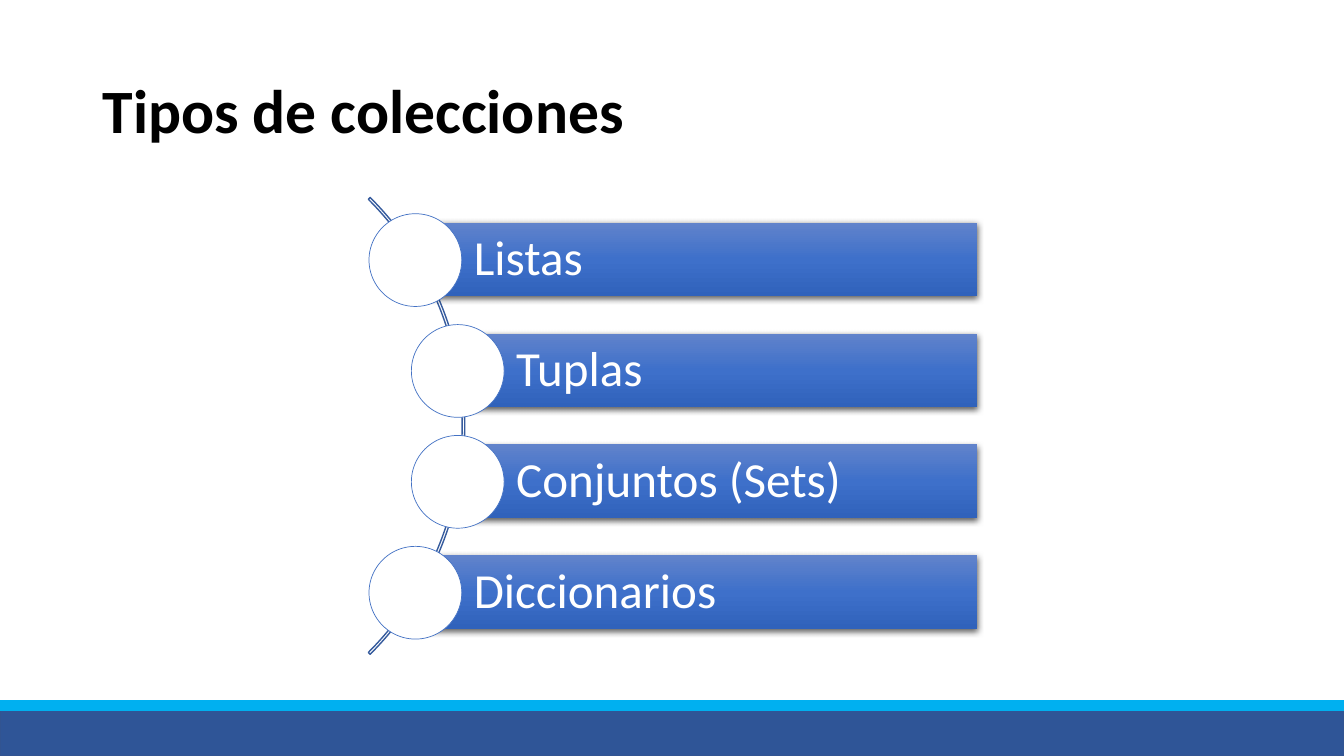
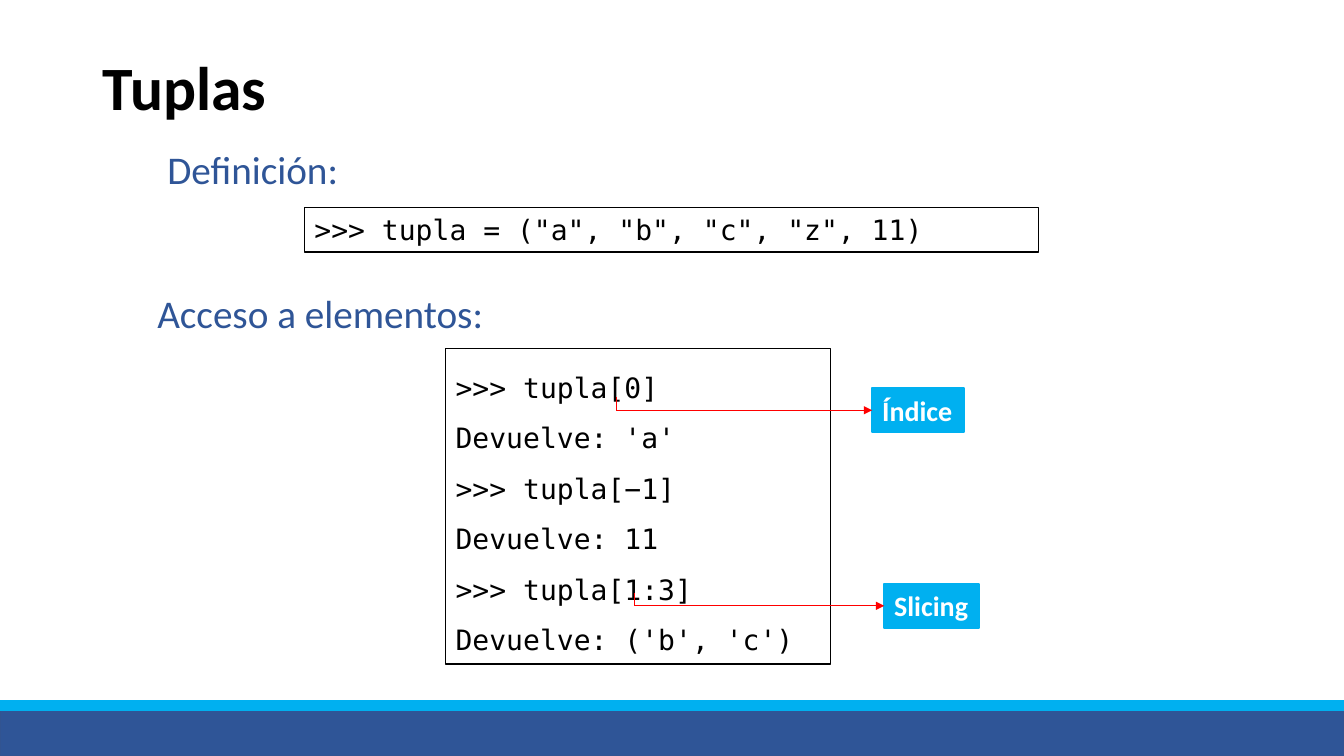
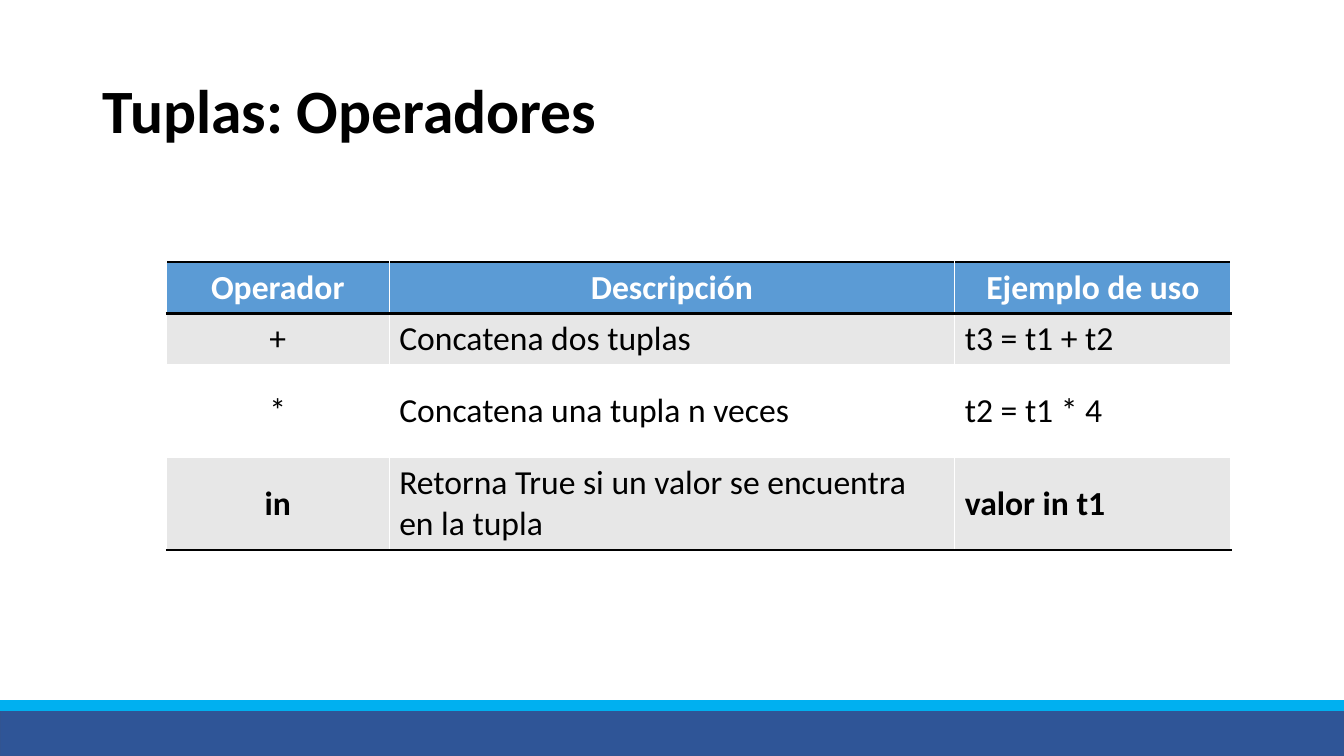
from copy import deepcopy
from lxml.etree import SubElement
from pptx import Presentation
from pptx.dml.color import RGBColor
from pptx.enum.shapes import MSO_CONNECTOR, MSO_SHAPE
from pptx.enum.text import MSO_ANCHOR, MSO_AUTO_SIZE, PP_ALIGN
from pptx.oxml.ns import qn
from pptx.util import Inches, Pt

NAVY, SKY, BLACK, WHITE, RED = "2F5597", "00B0F0", "000000", "FFFFFF", "FF0000"
TITLE = {"name": "Calibri", "size": Pt(44), "bold": True}
HEADING = {"name": "Calibri", "size": Pt(28)}
ENTRY = {"name": "Calibri", "size": Pt(35)}
CODE = {"name": "DejaVu Sans Mono", "size": Pt(20)}
LABEL = {"name": "Calibri", "size": Pt(20), "bold": True}
CELL = {"name": "Calibri", "size": Pt(24)}
MIDDLE = {"vertical_anchor": MSO_ANCHOR.MIDDLE}
GROW = {"auto_size": MSO_AUTO_SIZE.SHAPE_TO_FIT_TEXT}


def rgb(value):
    return RGBColor.from_string(value)


def add_box(slide, at, kind=None, fill=None, line=None, width=1, lines=(),
            font=None, color=BLACK, spacing=1.0, frame_format=None):
    area = [Inches(length) for length in at]
    if kind is None:
        box = slide.shapes.add_textbox(*area)
    else:
        box = slide.shapes.add_shape(kind, *area)
        box.shadow.inherit = False
        if fill:
            box.fill.solid()
            box.fill.fore_color.rgb = rgb(fill)
        else:
            box.fill.background()
        if line:
            box.line.color.rgb = rgb(line)
            box.line.width = Pt(width)
        else:
            box.line.fill.background()
    frame = box.text_frame
    frame.word_wrap = True
    for key, value in (frame_format or {}).items():
        setattr(frame, key, value)
    for number, text in enumerate(lines):
        paragraph = frame.add_paragraph() if number else frame.paragraphs[0]
        paragraph.alignment = PP_ALIGN.LEFT
        paragraph.line_spacing = spacing
        run = paragraph.add_run()
        run.text = text
        run.font.color.rgb = rgb(color)
        for key, value in font.items():
            setattr(run.font, key, value)
    return box


deck = Presentation()
deck.slide_width, deck.slide_height = Inches(13.33), Inches(7.5)
slides = []
for title, top in [("Tipos de colecciones", 0.4), ("Tuplas", 0.17), ("Tuplas: Operadores", 0.4)]:
    slide = deck.slides.add_slide(deck.slide_layouts[6])
    add_box(slide, (0, 7.03, 13.33, 0.47), MSO_SHAPE.RECTANGLE, NAVY, "325491")
    add_box(slide, (0, 6.95, 13.33, 0.1), MSO_SHAPE.RECTANGLE, SKY, SKY)
    add_box(slide, (0.92, top, 11.5, 1.45), lines=[title], font=TITLE,
            spacing=0.9, frame_format=MIDDLE)
    slides.append(slide)
collections, tuples, operators = slides

arc = add_box(collections, (-1.8, 1.02, 6.41, 6.41), MSO_SHAPE.BLOCK_ARC, line="365B9D")
for number, value in enumerate((189, 27, 0.004)):
    arc.adjustments[number] = value

entries = [("Listas", 4.12), ("Tuplas", 4.54), ("Conjuntos (Sets)", 4.54), ("Diccionarios", 4.12)]
for number, (entry, left) in enumerate(entries):
    top = 2.21 + 1.1 * number
    bar = add_box(collections, (left, top, 9.69 - left, 0.73), MSO_SHAPE.RECTANGLE,
                  lines=[entry], font=ENTRY, color=WHITE, spacing=0.9,
                  frame_format={**MIDDLE, "margin_left": Inches(0.58)})
    bar.fill.gradient()
    bar.fill.gradient_angle = 270
    properties = bar.element.spPr
    stops = properties.find(".//" + qn("a:gsLst"))
    stops.insert(1, deepcopy(stops[0]))
    for stop, position, color in zip(bar.fill.gradient_stops, (0, 0.5, 1),
                                     ("6183CB", "3E70CA", "3062BB")):
        stop.position = position
        stop.color.rgb = rgb(color)
    shadow = SubElement(properties.find(qn("a:effectLst")), qn("a:outerShdw"),
                        blurRad=str(Pt(4.5)), dist=str(Pt(1.5)), dir="5400000", rotWithShape="0")
    shade = SubElement(shadow, qn("a:srgbClr"), val=BLACK)
    SubElement(shade, qn("a:alpha"), val="63000")
    add_box(collections, (left - 0.46, top - 0.09, 0.92, 0.92), MSO_SHAPE.OVAL, WHITE, "4472C4", 0.5)

for heading, top, margin in [("Definición:", 1.44, 0.19), ("Acceso a elementos:", 2.87, 0.09)]:
    add_box(tuples, (1.47, top, 10.4, 0.68), lines=[heading], font=HEADING, color=NAVY,
            spacing=0.9, frame_format={"margin_left": Inches(margin)})

definition = ['>>> tupla = ("a", "b", "c", "z", 11)']
access = [">>> tupla[0]", "Devuelve: 'a'", ">>> tupla[−1]", "Devuelve: 11",
          ">>> tupla[1:3]", "Devuelve: ('b', 'c')"]
for code, at, spacing in [(definition, (3.02, 2.06, 7.28, 0.44), 1.0),
                          (access, (4.42, 3.46, 3.82, 3.13), 1.5)]:
    add_box(tuples, at, MSO_SHAPE.RECTANGLE, WHITE, BLACK, lines=code, font=CODE,
            spacing=spacing, frame_format={**GROW, **MIDDLE, "vertical_anchor": MSO_ANCHOR.TOP})

for label, left, top, width, start in [("Índice", 8.65, 3.85, 0.91, 6.11),
                                       ("Slicing", 8.77, 5.79, 0.94, 6.29)]:
    add_box(tuples, (left, top, width, 0.44), MSO_SHAPE.RECTANGLE, SKY, SKY, 1.5, [label],
            LABEL, WHITE, frame_format={**GROW, "word_wrap": False, "vertical_anchor": MSO_ANCHOR.TOP})
    level = top + 0.22
    for ends, arrow in [((start, level, left, level), True),
                        ((start, level - 0.13, start, level), False)]:
        pointer = tuples.shapes.add_connector(MSO_CONNECTOR.STRAIGHT, *[Inches(end) for end in ends])
        pointer.line.color.rgb = rgb(RED)
        pointer.line.width = Pt(0.5)
        if arrow:
            SubElement(pointer.line._get_or_add_ln(), qn("a:tailEnd"), type="triangle")
        SubElement(pointer.element.spPr, qn("a:effectLst"))

rows = [("Operador", "Descripción", "Ejemplo de uso"),
        ("+", "Concatena dos tuplas", "t3 = t1 + t2"),
        ("*", "Concatena una tupla n veces", "t2 = t1 * 4"),
        ("in", "Retorna True si un valor se encuentra en la tupla", "valor in t1")]
fills = ["5B9BD5", "E7E7E7", WHITE, "E7E7E7"]
borders = [("a:lnT", "a:lnB"), (), (), ("a:lnB",)]
table = operators.shapes.add_table(4, 3, Inches(1.65), Inches(2.6), Inches(10.56), Inches(2.86)).table
for column, width in zip(table.columns, (2.21, 5.61, 2.74)):
    column.width = Inches(width)
for row, height in zip(table.rows, (0.51, 0.51, 0.92, 0.92)):
    row.height = Inches(height)
for r, texts in enumerate(rows):
    for c, text in enumerate(texts):
        cell = table.cell(r, c)
        cell.vertical_anchor = MSO_ANCHOR.MIDDLE if r else MSO_ANCHOR.TOP
        paragraph = cell.text_frame.paragraphs[0]
        paragraph.alignment = PP_ALIGN.CENTER if r == 0 or c == 0 else PP_ALIGN.LEFT
        run = paragraph.add_run()
        run.text = text
        run.font.color.rgb = rgb(BLACK if r else WHITE)
        run.font.bold = r == 0 or (r == 3 and c != 1)
        for key, value in CELL.items():
            setattr(run.font, key, value)
        for side in borders[r]:
            edge = SubElement(cell._tc.get_or_add_tcPr(), qn(side), w=str(Pt(2)))
            SubElement(SubElement(edge, qn("a:solidFill")), qn("a:srgbClr"), val=BLACK)
        cell.fill.solid()
        cell.fill.fore_color.rgb = rgb(fills[r])

deck.save("out.pptx")
